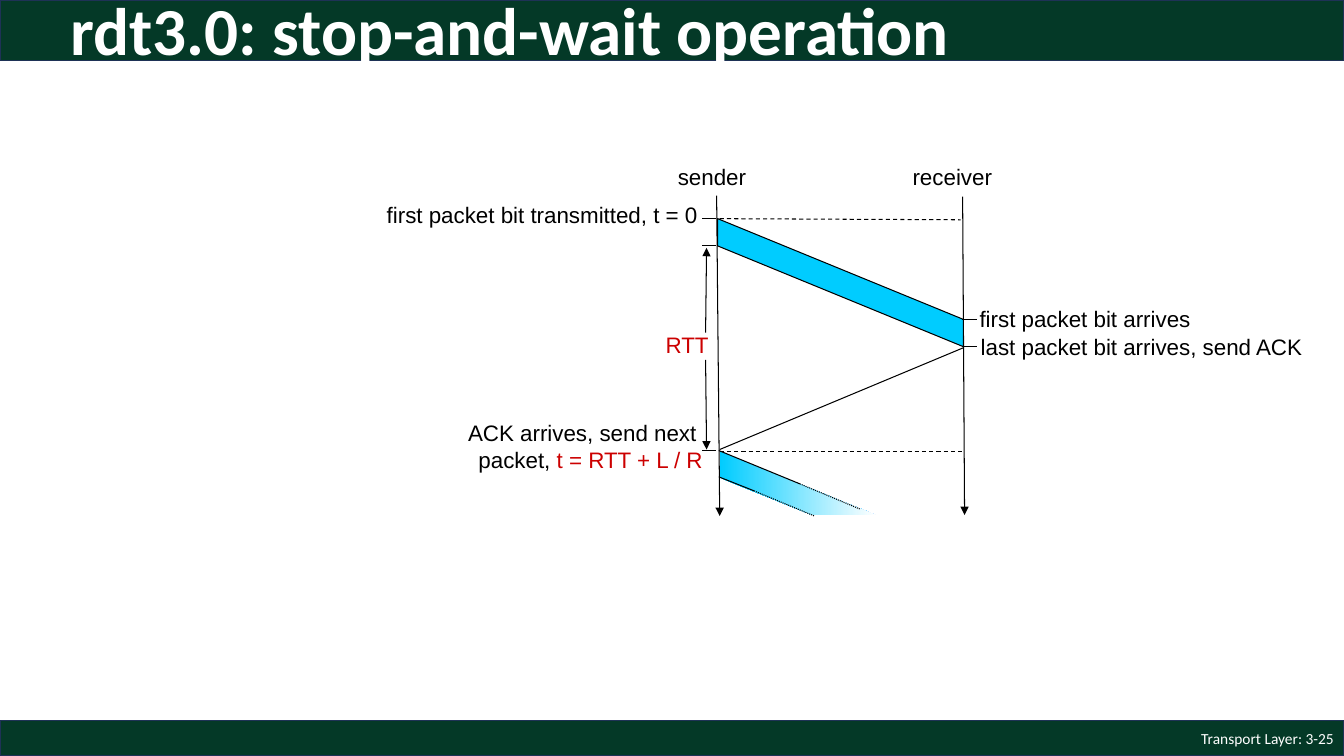
from lxml.etree import SubElement
from pptx import Presentation
from pptx.dml.color import RGBColor
from pptx.enum.dml import MSO_LINE_DASH_STYLE as Dash
from pptx.enum.shapes import MSO_CONNECTOR as Connector, MSO_SHAPE as Preset
from pptx.enum.text import MSO_ANCHOR as Anchor, PP_ALIGN as Align
from pptx.oxml.ns import qn
from pptx.util import Pt

BLACK = RGBColor(0x00, 0x00, 0x00)
WHITE = RGBColor(0xFF, 0xFF, 0xFF)
GREEN = RGBColor(0x04, 0x39, 0x27)
NAVY = RGBColor(0x1E, 0x32, 0x56)
CYAN = RGBColor(0x00, 0xCC, 0xFF)
RED = RGBColor(0xCC, 0x00, 0x00)

WIDTH, HEIGHT = 960, 540
SENDER_X, RECEIVER_X = 512.6, 688.2
FIRST_SENT, LAST_SENT = 156.2, 175.7
FIRST_ARRIVES, LAST_ARRIVES = 228.2, 247.7
ACK_ARRIVES = 321.8


class Diagram:
    """Draws on one slide; every length is in points."""

    def __init__(self, page):
        self.shapes = page.shapes
        self.label_font = {"name": "Arial", "size": Pt(16)}

    def bar(self, top, height):
        bar = self.shapes.add_shape(Preset.RECTANGLE, Pt(0), Pt(top), Pt(WIDTH), Pt(height))
        bar.shadow.inherit = False
        bar.fill.solid()
        bar.fill.fore_color.rgb = GREEN
        bar.line.color.rgb = NAVY
        bar.line.width = Pt(1)

    def text(self, place, *lines, align=Align.LEFT, anchor=Anchor.TOP, font=None,
             color=BLACK, spacing=1.0):
        """Each line is a string or a list of (string, colour) spans."""
        box = self.shapes.add_textbox(*map(Pt, place))
        frame = box.text_frame
        frame.word_wrap = True
        frame.vertical_anchor = anchor
        for index, line in enumerate(lines):
            para = frame.add_paragraph() if index else frame.paragraphs[0]
            para.alignment = align
            para.line_spacing = spacing
            for words, shade in [(line, color)] if isinstance(line, str) else line:
                span = para.add_run()
                span.text = words
                for name, value in (font or self.label_font).items():
                    setattr(span.font, name, value)
                span.font.color.rgb = shade
        return box

    def line(self, start, end, dash=None, arrow=False):
        line = self.shapes.add_connector(Connector.STRAIGHT, *map(Pt, (*start, *end)))
        line.line.color.rgb = BLACK
        line.line.width = Pt(0.75)
        if dash:
            line.line.dash_style = dash
        properties = line._element.spPr
        if arrow:
            SubElement(properties.find(qn("a:ln")), qn("a:tailEnd"), type="triangle")
        SubElement(properties, qn("a:effectLst"))

    def band(self, corners, fading=False):
        first, *others = [tuple(map(Pt, corner)) for corner in corners]
        builder = self.shapes.build_freeform(*first, scale=1.0)
        builder.add_line_segments(others, close=True)
        band = builder.convert_to_shape()
        band.shadow.inherit = False
        if fading:
            band.fill.gradient()
            band.fill.gradient_angle = 0
            for stop, color in zip(band.fill.gradient_stops, (CYAN, WHITE)):
                stop.color.rgb = color
            band.line.fill.background()
        else:
            band.fill.solid()
            band.fill.fore_color.rgb = CYAN
            band.line.color.rgb = BLACK
            band.line.width = Pt(0.75)


def main():
    deck = Presentation()
    deck.slide_width, deck.slide_height = Pt(WIDTH), Pt(HEIGHT)
    diagram = Diagram(deck.slides.add_slide(deck.slide_layouts[6]))

    diagram.bar(0, 43.2)
    diagram.bar(514.8, 25.2)
    diagram.text((744, 514.8, 216, 25.2), "Transport Layer: 3-25", align=Align.RIGHT,
                 anchor=Anchor.MIDDLE, font={"name": "Calibri", "size": Pt(11)}, color=WHITE)
    diagram.text((43.2, -11.5, 874, 70.6), "rdt3.0: stop-and-wait operation",
                 anchor=Anchor.MIDDLE, color=WHITE, spacing=0.9,
                 font={"name": "Calibri", "size": Pt(48), "bold": True})

    # Labels
    for place, *lines in (
        ((470, 113, 70, 27.4), "sender"),
        ((641.5, 113, 74.2, 27.4), "receiver"),
        ((251.3, 140.4, 254.2, 28), "first packet bit transmitted, t = 0"),
        ((450, 233.3, 63.2, 26.6), [("RTT", RED)]),
        ((297.4, 295.9, 211.7, 49.7), "ACK arrives, send next ",
         [("packet, ", BLACK), ("t = RTT + L / R", RED)]),
    ):
        diagram.text(place, *lines, align=Align.RIGHT)
    diagram.text((692.6, 214.6, 190.8, 28), "first packet bit arrives")
    diagram.text((693.4, 234.7, 245.5, 44.6), "last packet bit arrives, send ACK")

    # Time axes
    diagram.line((511.9, 139.7), (514.1, 368.6), arrow=True)
    diagram.line((687.6, 140.4), (689, 367.9), arrow=True)

    # First packet and its ACK
    diagram.line((514.1, FIRST_SENT), (686.2, 157), dash=Dash.DASH)
    diagram.line((514.1, 322.6), (686.9, 322.6), dash=Dash.DASH)
    diagram.line((514.1, ACK_ARRIVES - 0.7), (RECEIVER_X, LAST_ARRIVES + 0.7))
    diagram.band([(SENDER_X, FIRST_SENT), (RECEIVER_X, FIRST_ARRIVES),
                  (RECEIVER_X, LAST_ARRIVES), (SENDER_X, LAST_SENT)])

    # Ticks beside the axes
    for moment in (FIRST_SENT, LAST_SENT, ACK_ARRIVES):
        diagram.line((511.6, moment), (501.4, moment))
    for moment in (FIRST_ARRIVES, LAST_ARRIVES):
        diagram.line((687.4, moment), (697.6, moment))

    # Round-trip time span
    diagram.line((504, 257), (504.7, 321.1), arrow=True)
    diagram.line((504, 237.6), (504.7, 177.1), arrow=True)

    # Next packet, fading out
    diagram.band([(514.1, 322.6), (625.7, 367.9), (580.3, 367.9), (514.1, 341.3)], fading=True)
    for start, middle, end in (
        ((513.4, ACK_ARRIVES), (571.3, 345.6), (614.2, 363.6)),
        ((513.4, 340.6), (538.6, 350.6), (581.8, 368.6)),
    ):
        diagram.line(start, middle)
        diagram.line(middle, end, dash=Dash.ROUND_DOT)

    deck.save("out.pptx")


if __name__ == "__main__":
    main()
